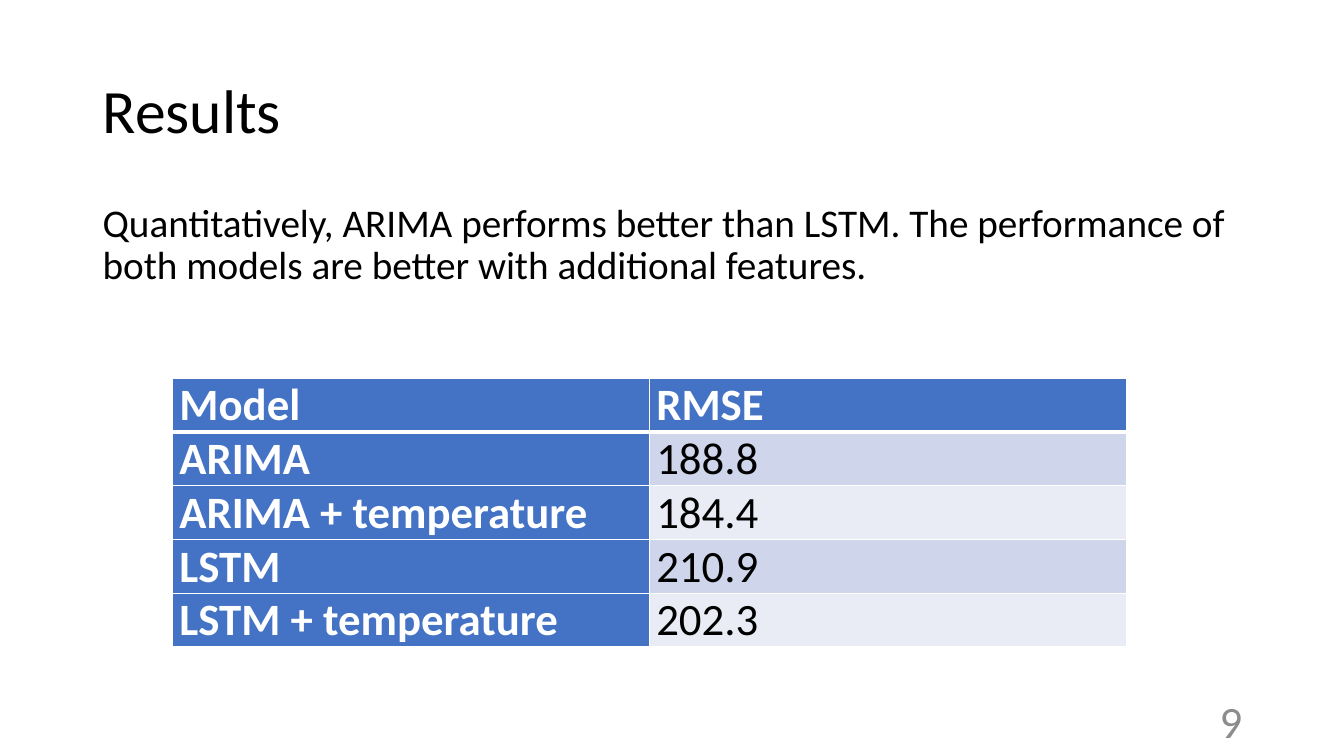
from lxml import etree
from pptx import Presentation
from pptx.dml.color import RGBColor as RGB
from pptx.enum.text import MSO_ANCHOR as Anchor, PP_ALIGN as Align
from pptx.oxml.ns import qn
from pptx.util import Inches, Pt

COLORS = {
    "white": "FFFFFF",
    "black": "000000",
    "gray": "8C8C8C",
    "blue": "4472C4",
    "dark": "CFD5EA",
    "light": "E9EBF5",
}
ROWS = [
    ("Model", "RMSE"),
    ("ARIMA", "188.8"),
    ("ARIMA + temperature", "184.4"),
    ("LSTM", "210.9"),
    ("LSTM + temperature", "202.3"),
]


class Deck:
    """Holds the text style and the current slide."""

    font = "Calibri"

    def __init__(self, slide):
        self.slide = slide

    def style(self, para, size, color, bold=False, align=Align.LEFT):
        para.alignment = align
        for run in para.runs:
            font = run.font
            font.name, font.size, font.bold = self.font, Pt(size), bold
            font.color.rgb = RGB.from_string(COLORS[color])

    def text(self, words, box, size, color="black", anchor=Anchor.MIDDLE,
             align=Align.LEFT, spacing=0.9, before=0):
        frame = self.slide.shapes.add_textbox(*map(Inches, box)).text_frame
        frame.word_wrap = True
        frame.vertical_anchor = anchor
        frame.text = words
        para = frame.paragraphs[0]
        para.line_spacing = spacing
        para.space_before = Pt(before)
        self.style(para, size, color, align=align)

    def border(self, cell, widths):
        """Draw white borders; widths are in points, by side letter."""
        props = cell._tc.get_or_add_tcPr()
        for spot, (side, width) in enumerate(widths.items()):
            line = etree.Element(qn(f"a:ln{side}"), w=str(Pt(width)))
            fill = etree.SubElement(line, qn("a:solidFill"))
            etree.SubElement(fill, qn("a:srgbClr"), val=COLORS["white"])
            props.insert(spot, line)

    def cell(self, cell, words, fill, color, bold):
        cell.fill.solid()
        cell.fill.fore_color.rgb = RGB.from_string(COLORS[fill])
        cell.margin_left = cell.margin_right = Inches(0.07)
        cell.margin_top = cell.margin_bottom = 0
        cell.text = words
        self.style(cell.text_frame.paragraphs[0], 32, color, bold, Align.JUSTIFY)

    def table(self, rows, box):
        """Add a table with a blue first row and column, and banded values."""
        shape = self.slide.shapes.add_table(
            len(rows), len(rows[0]), *map(Inches, box))
        grid = shape.table
        for r, row in enumerate(rows):
            for c, words in enumerate(row):
                head = r == 0 or c == 0
                band = "dark" if r % 2 else "light"
                cell = grid.cell(r, c)
                self.cell(cell, words, "blue" if head else band,
                          "white" if head else "black", head)
                self.border(cell, {"L": 1, "R": 1, "T": 3 if r == 1 else 1,
                                   "B": 3 if r == 0 else 1})


def main():
    prs = Presentation()
    prs.slide_width, prs.slide_height = Inches(13.33), Inches(7.5)
    deck = Deck(prs.slides.add_slide(prs.slide_layouts[6]))
    deck.text("Results", (0.92, 0.4, 11.5, 1.45), 44)
    deck.text("Quantitatively, ARIMA performs better than LSTM. The performance "
              "of both models are better with additional features.",
              (0.92, 1.97, 11.5, 1.45), 28, anchor=Anchor.TOP, before=10)
    deck.table(ROWS, (1.71, 3.75, 9.46, 2.67))
    deck.text("9", (9.42, 6.95, 3, 0.4), 32, "gray", align=Align.RIGHT, spacing=1.0)
    prs.save("out.pptx")


if __name__ == "__main__":
    main()
